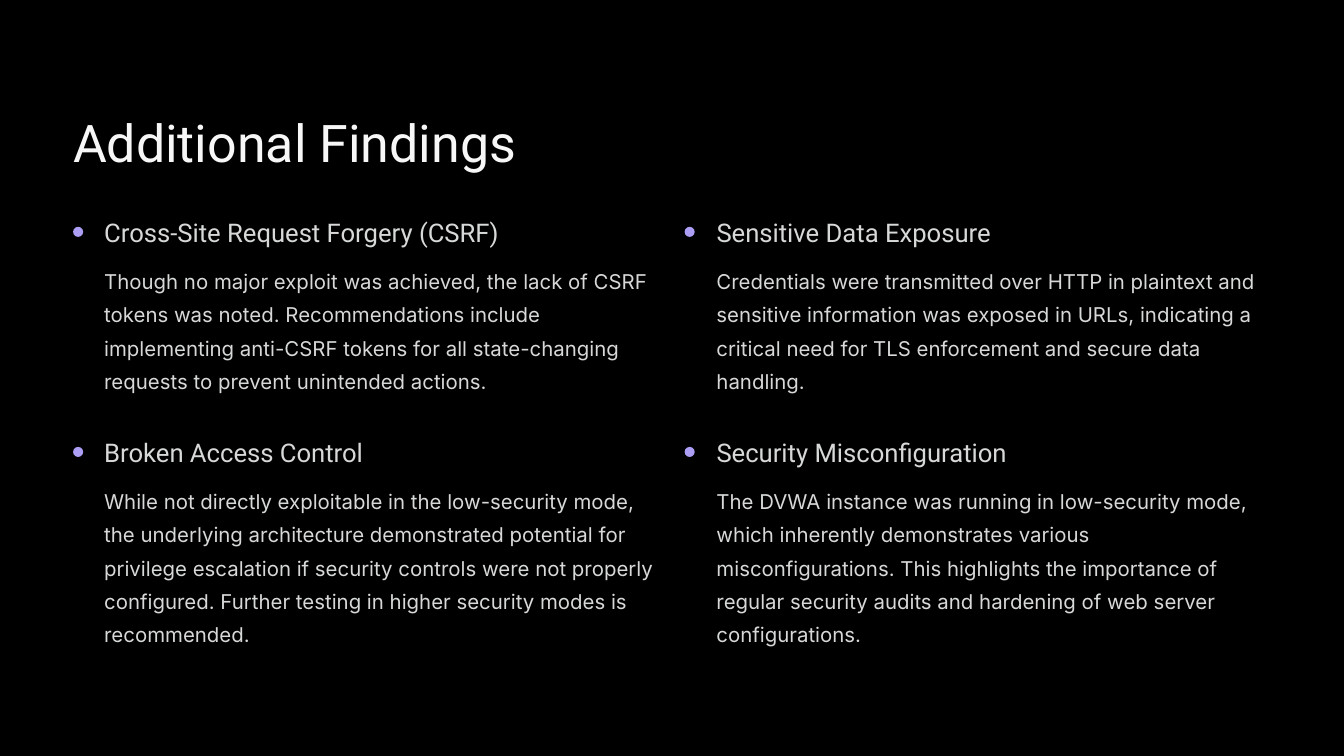
import pptx
import pptx.dml.color
import pptx.enum.shapes
import pptx.util

Inches = pptx.util.Inches
Pt = pptx.util.Pt

FINDINGS = [
    ("Cross-Site Request Forgery (CSRF)", 5.09,
     "Though no major exploit was achieved, the lack of CSRF tokens was noted. "
     "Recommendations include implementing anti-CSRF tokens for all "
     "state-changing requests to prevent unintended actions."),
    ("Sensitive Data Exposure", 3.52,
     "Credentials were transmitted over HTTP in plaintext and sensitive "
     "information was exposed in URLs, indicating a critical need for TLS "
     "enforcement and secure data handling."),
    ("Broken Access Control", 3.31,
     "While not directly exploitable in the low-security mode, the underlying "
     "architecture demonstrated potential for privilege escalation if security "
     "controls were not properly configured. Further testing in higher security "
     "modes is recommended."),
    ("Security Misconfiguration", 3.75,
     "The DVWA instance was running in low-security mode, which inherently "
     "demonstrates various misconfigurations. This highlights the importance of "
     "regular security audits and hardening of web server configurations."),
]
COLUMNS = [(0.87, 1.24), (8.15, 8.53)]
ROWS = [(2.57, 1.59), (5.19, 1.98)]


def color(value):
    return pptx.dml.color.RGBColor.from_string(value)


def apply(target, values):
    for name, value in values.items():
        setattr(target, name, value)


class FindingsSlide:
    """Hold the text styles and the current slide, and draw its elements."""

    styles = {
        "title": ("Roboto", 44.5, 55.5, "F7F7F8", False),
        "heading": ("Roboto", 22, 27.5, "D6D9D7", False),
        "body": ("Inter", 17.5, 28.5, "D6D9D7", True),
    }

    def __init__(self, presentation):
        self.slide = presentation.slides.add_slide(presentation.slide_layouts[6])
        fill = self.slide.background.fill
        fill.solid()
        fill.fore_color.rgb = color("000000")

    def text(self, style, words, left, top, width, height):
        font_name, size, spacing, text_color, wrap = self.styles[style]
        box = self.slide.shapes.add_textbox(
            Inches(left), Inches(top), Inches(width), Inches(height))
        frame = box.text_frame
        apply(frame, {"margin_left": 0, "margin_right": 0, "margin_top": 0,
                      "margin_bottom": 0, "word_wrap": wrap})
        paragraph = frame.paragraphs[0]
        paragraph.line_spacing = Pt(spacing)
        run = paragraph.add_run()
        run.text = words
        apply(run.font, {"name": font_name, "size": Pt(size)})
        run.font.color.rgb = color(text_color)

    def dot(self, left, top):
        shape = self.slide.shapes.add_shape(
            pptx.enum.shapes.MSO_SHAPE.ROUNDED_RECTANGLE,
            Inches(left), Inches(top), Inches(0.12), Inches(0.12))
        shape.adjustments[0] = 0.5
        shape.shadow.inherit = False
        shape.fill.solid()
        shape.fill.fore_color.rgb = color("AC9EF5")
        shape.line.fill.background()

    def finding(self, index, heading, heading_width, body):
        row, column = divmod(index, len(COLUMNS))
        dot_left, text_left = COLUMNS[column]
        top, body_height = ROWS[row]
        self.dot(dot_left, top + 0.13)
        self.text("heading", heading, text_left, top, heading_width, 0.39)
        self.text("body", body, text_left, top + 0.53, 6.6, body_height)


def main():
    presentation = pptx.Presentation()
    apply(presentation, {"slide_width": Inches(16), "slide_height": Inches(9)})
    slide = FindingsSlide(presentation)
    slide.text("title", "Additional Findings", 0.87, 1.29, 6.2, 0.78)
    for index, finding in enumerate(FINDINGS):
        slide.finding(index, *finding)
    presentation.save("out.pptx")


if __name__ == "__main__":
    main()
